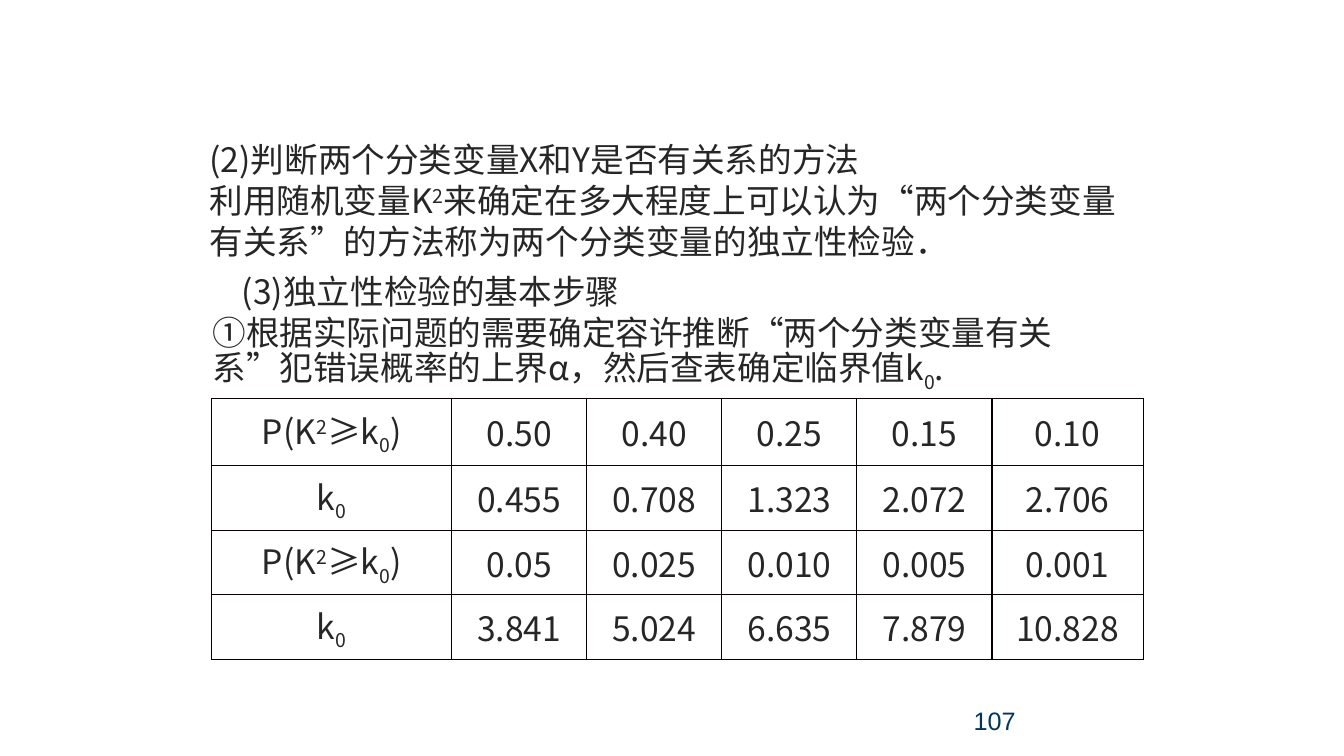
"""Build the slide on the steps of the independence test with its critical value table."""
from dataclasses import dataclass

from lxml.etree import SubElement
from pptx import Presentation
from pptx.dml.color import RGBColor
from pptx.enum.text import MSO_ANCHOR as Anchor, PP_ALIGN as Align
from pptx.oxml.ns import qn
from pptx.slide import Slide
from pptx.table import _Cell as Cell
from pptx.text.text import _Paragraph as Paragraph
from pptx.util import Pt


@dataclass(frozen=True)
class Theme:
    body_font: str = "Noto Sans CJK SC"
    number_font: str = "Arial"
    body_color: str = "262626"
    number_color: str = "003760"
    border_color: str = "080000"
    body_size: float = 24
    number_size: float = 18
    line_pitch: float = 29
    border_width: float = 1
    superscript: int = 30
    subscript: int = -25


THEME = Theme()


@dataclass(frozen=True)
class Style:
    font: str
    size: float
    color: str


BODY = Style(THEME.body_font, THEME.body_size, THEME.body_color)
NUMBER = Style(THEME.number_font, THEME.number_size, THEME.number_color)


@dataclass(frozen=True)
class Piece:
    text: str
    baseline: int = 0


@dataclass(frozen=True)
class Line:
    pieces: tuple[Piece, ...]
    indent: float = 0


@dataclass(frozen=True)
class TextBlock:
    left: float
    top: float
    width: float
    height: float
    lines: tuple[Line, ...]
    style: Style = BODY
    line_pitch: float | None = THEME.line_pitch


SQUARE = Piece("2", THEME.superscript)
ZERO = Piece("0", THEME.subscript)
CRITICAL_VALUE = (Piece("k"), ZERO)
PROBABILITY = (Piece("P(K"), SQUARE, Piece("≥k"), ZERO, Piece(")"))

BLOCKS = (
    TextBlock(688.3, 500.4, 223.9, 28.8, (Line((Piece("107"),)),), NUMBER, None),
    TextBlock(144.7, 190.1, 655.9, 94.3, (
        Line((Piece("(3)独立性检验的基本步骤"),), indent=21),
        Line((
            Piece("①根据实际问题的需要确定容许推断“两个分类变量有关系”"
                  "犯错误概率的上界α，然后查表确定临界值k"),
            ZERO,
            Piece("."),
        )),
    )),
    TextBlock(142.6, 95.8, 682.6, 94.3, (
        Line((Piece("(2)判断两个分类变量X和Y是否有关系的方法"),)),
        Line((
            Piece("利用随机变量K"),
            SQUARE,
            Piece("来确定在多大程度上可以认为“两个分类变量有关系”"
                  "的方法称为两个分类变量的独立性检验．"),
        )),
    )),
)

TABLE_LEFT, TABLE_TOP = 151.2, 284.4
COLUMN_WIDTHS = (171.4, *[96.5] * 4, 108)
ROW_HEIGHTS = (48.2, *[46.1] * 3)
TABLE_ROWS = (
    (PROBABILITY, "0.50 0.40 0.25 0.15 0.10"),
    (CRITICAL_VALUE, "0.455 0.708 1.323 2.072 2.706"),
    (PROBABILITY, "0.05 0.025 0.010 0.005 0.001"),
    (CRITICAL_VALUE, "3.841 5.024 6.635 7.879 10.828"),
)
CELL_FORMAT = {
    "margin_left": Pt(5),
    "margin_right": Pt(5),
    "margin_top": 0,
    "margin_bottom": 0,
    "vertical_anchor": Anchor.MIDDLE,
}


def apply_format(target: object, values: dict[str, object]) -> None:
    for name, value in values.items():
        setattr(target, name, value)


def write_pieces(paragraph: Paragraph, pieces: tuple[Piece, ...], style: Style) -> None:
    for piece in pieces:
        run = paragraph.add_run()
        run.text = piece.text
        apply_format(run.font, {"name": style.font, "size": Pt(style.size)})
        run.font.color.rgb = RGBColor.from_string(style.color)
        properties = run._r.get_or_add_rPr()
        SubElement(properties, qn("a:ea")).set("typeface", style.font)
        if piece.baseline:
            properties.set("baseline", str(piece.baseline * 1000))


def draw_text(slide: Slide, block: TextBlock) -> None:
    bounds = (block.left, block.top, block.width, block.height)
    frame = slide.shapes.add_textbox(*map(Pt, bounds)).text_frame
    frame.word_wrap = True
    for index, line in enumerate(block.lines):
        paragraph = frame.add_paragraph() if index else frame.paragraphs[0]
        if block.line_pitch:
            paragraph.line_spacing = Pt(block.line_pitch)
        if line.indent:
            paragraph._p.get_or_add_pPr().set("indent", str(Pt(line.indent)))
        write_pieces(paragraph, line.pieces, block.style)


def draw_borders(cell: Cell) -> None:
    properties = cell._tc.get_or_add_tcPr()
    for side in ("a:lnL", "a:lnR", "a:lnT", "a:lnB"):
        border = SubElement(properties, qn(side), w=str(Pt(THEME.border_width)))
        fill = SubElement(border, qn("a:solidFill"))
        SubElement(fill, qn("a:srgbClr"), val=THEME.border_color)


def draw_table(slide: Slide) -> None:
    bounds = (TABLE_LEFT, TABLE_TOP, sum(COLUMN_WIDTHS), sum(ROW_HEIGHTS))
    table = slide.shapes.add_table(
        len(ROW_HEIGHTS), len(COLUMN_WIDTHS), *map(Pt, bounds)
    ).table
    apply_format(table, {"first_row": False, "horz_banding": False})
    for column, width in zip(table.columns, COLUMN_WIDTHS):
        column.width = Pt(width)
    for row, height, (heading, values) in zip(table.rows, ROW_HEIGHTS, TABLE_ROWS):
        row.height = Pt(height)
        contents = (heading, *((Piece(value),) for value in values.split()))
        for cell, pieces in zip(row.cells, contents):
            apply_format(cell, CELL_FORMAT)
            draw_borders(cell)
            cell.fill.background()
            paragraph = cell.text_frame.paragraphs[0]
            paragraph.alignment = Align.CENTER
            write_pieces(paragraph, pieces, BODY)


def main() -> None:
    presentation = Presentation()
    apply_format(presentation, {"slide_width": Pt(960), "slide_height": Pt(540)})
    slide = presentation.slides.add_slide(presentation.slide_layouts[6])
    for block in BLOCKS:
        draw_text(slide, block)
    draw_table(slide)
    presentation.save("out.pptx")


if __name__ == "__main__":
    main()
